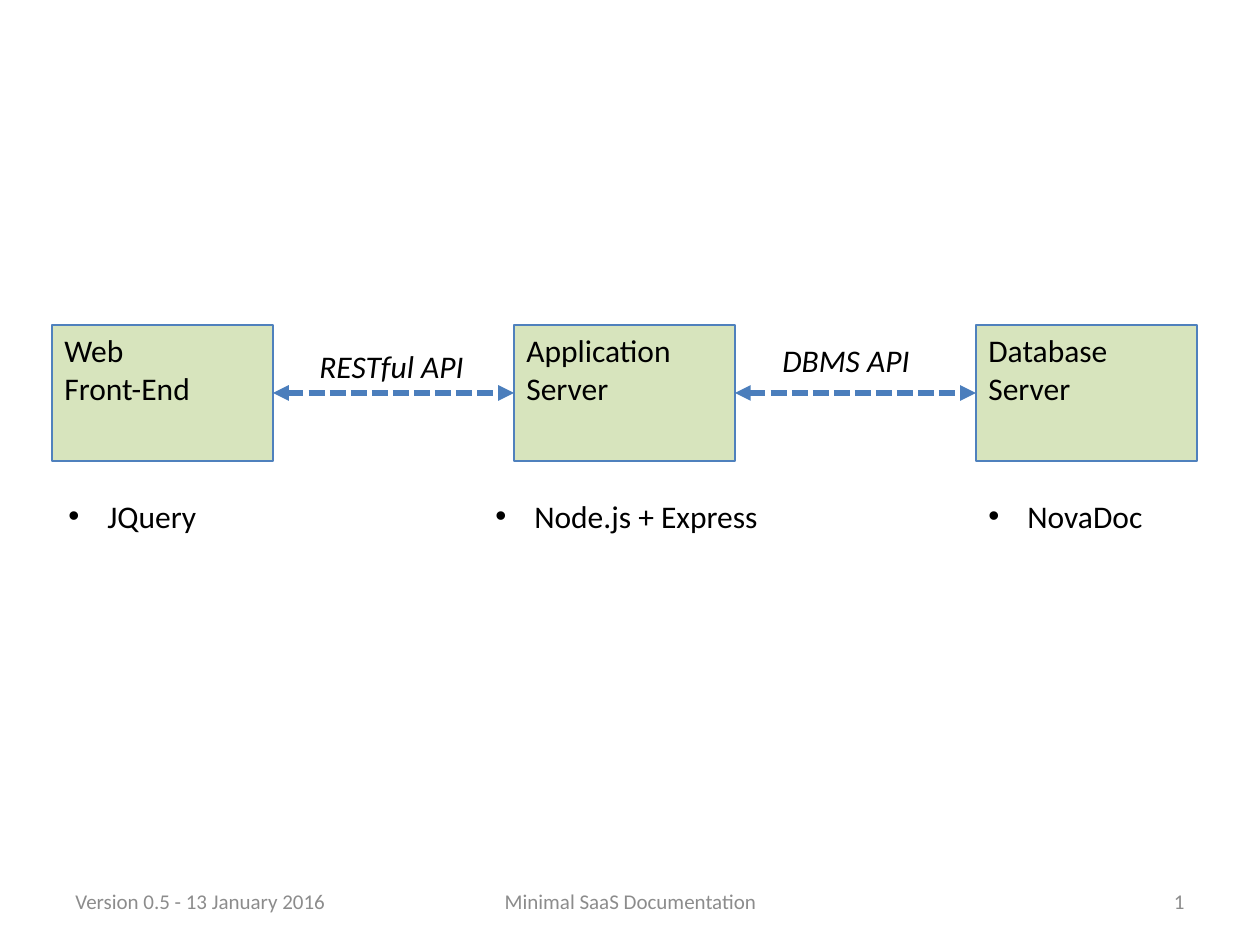
from lxml import etree
from pptx import Presentation
from pptx import util as u
from pptx.dml.color import RGBColor
from pptx.enum import dml, shapes, text
from pptx.oxml.ns import qn

PIXEL = 914400 // 126


def px(length):
    return u.Emu(length * PIXEL)


def color(value):
    return RGBColor.from_string(value)


class Diagram:
    font = "Calibri"
    ink, muted = "000000", "8C8C8C"
    fill, border, arrow_color = "D7E4BD", "4F81BD", "4B7EBC"

    def __init__(self, slide):
        self.slide = slide

    def add_lines(self, frame, lines, size=18, ink=ink, italic=False,
                  align=text.PP_ALIGN.LEFT):
        for index, line in enumerate(lines):
            para = frame.paragraphs[0] if index == 0 else frame.add_paragraph()
            para.alignment = align
            span = para.add_run()
            span.text = line
            span.font.name = self.font
            span.font.size = u.Pt(size)
            span.font.italic = italic
            span.font.color.rgb = color(ink)

    def box(self, left, top, width, height, lines):
        box = self.slide.shapes.add_shape(
            shapes.MSO_SHAPE.RECTANGLE, px(left), px(top), px(width), px(height))
        box.shadow.inherit = False
        box.fill.solid()
        box.fill.fore_color.rgb = color(self.fill)
        box.line.color.rgb = color(self.border)
        box.line.width = u.Pt(0.75)
        box.text_frame.vertical_anchor = text.MSO_ANCHOR.TOP
        self.add_lines(box.text_frame, lines)

    def arrow(self, start, end, y):
        arrow = self.slide.shapes.add_connector(
            shapes.MSO_CONNECTOR.STRAIGHT, px(start), px(y), px(end), px(y))
        arrow.line.color.rgb = color(self.arrow_color)
        arrow.line.width = u.Pt(3)
        arrow.line.dash_style = dml.MSO_LINE.SQUARE_DOT
        line = arrow.line._get_or_add_ln()
        for tag in ("a:headEnd", "a:tailEnd"):
            etree.SubElement(line, qn(tag), type="triangle")
        etree.SubElement(arrow._element.spPr, qn("a:effectLst"))

    def label(self, left, top, width, line, wrap=False, **style):
        label = self.slide.shapes.add_textbox(px(left), px(top), px(width), px(50))
        label.text_frame.word_wrap = wrap
        self.add_lines(label.text_frame, [line], **style)
        return label.text_frame

    def bullet(self, left, top, width, line):
        frame = self.label(left, top, width, line)
        props = frame.paragraphs[0]._p.get_or_add_pPr()
        props.set("marL", str(px(39)))
        props.set("indent", str(px(-39)))
        etree.SubElement(props, qn("a:buFont"), typeface="Arial")
        etree.SubElement(props, qn("a:buChar"), char="•")

    def footer(self, left, width, line, align):
        frame = self.label(left, 876, width, line, wrap=True,
                           size=12, ink=self.muted, align=align)
        frame.vertical_anchor = text.MSO_ANCHOR.MIDDLE


deck = Presentation()
deck.slide_width, deck.slide_height = px(1260), px(945)
diagram = Diagram(deck.slides.add_slide(deck.slide_layouts[6]))

# Tiers, evenly spaced
LEFT, TOP, WIDTH, HEIGHT, STEP = 52, 325, 221, 136, 462
tiers = [("Web", "Front-End"), ("Application", "Server"), ("Database", "Server")]
for index, lines in enumerate(tiers):
    diagram.box(LEFT + index * STEP, TOP, WIDTH, HEIGHT, lines)

# Arrows between neighbouring tiers
for index in range(len(tiers) - 1):
    left = LEFT + index * STEP
    diagram.arrow(left + WIDTH, left + STEP, TOP + HEIGHT // 2)

# Interface names
diagram.label(307, 341, 171, "RESTful API", italic=True)
diagram.label(770, 335, 154, "DBMS API", italic=True)

# Technologies under each tier
for left, width, name in [(56, 155, "JQuery"), (483, 291, "Node.js + Express"),
                          (976, 182, "NovaDoc")]:
    diagram.bullet(left, 491, width, name)

# Footer
diagram.footer(63, 294, "Version 0.5 - 13 January 2016", text.PP_ALIGN.LEFT)
diagram.footer(431, 399, "Minimal SaaS Documentation", text.PP_ALIGN.CENTER)
diagram.footer(903, 294, "1", text.PP_ALIGN.RIGHT)

deck.save("out.pptx")
